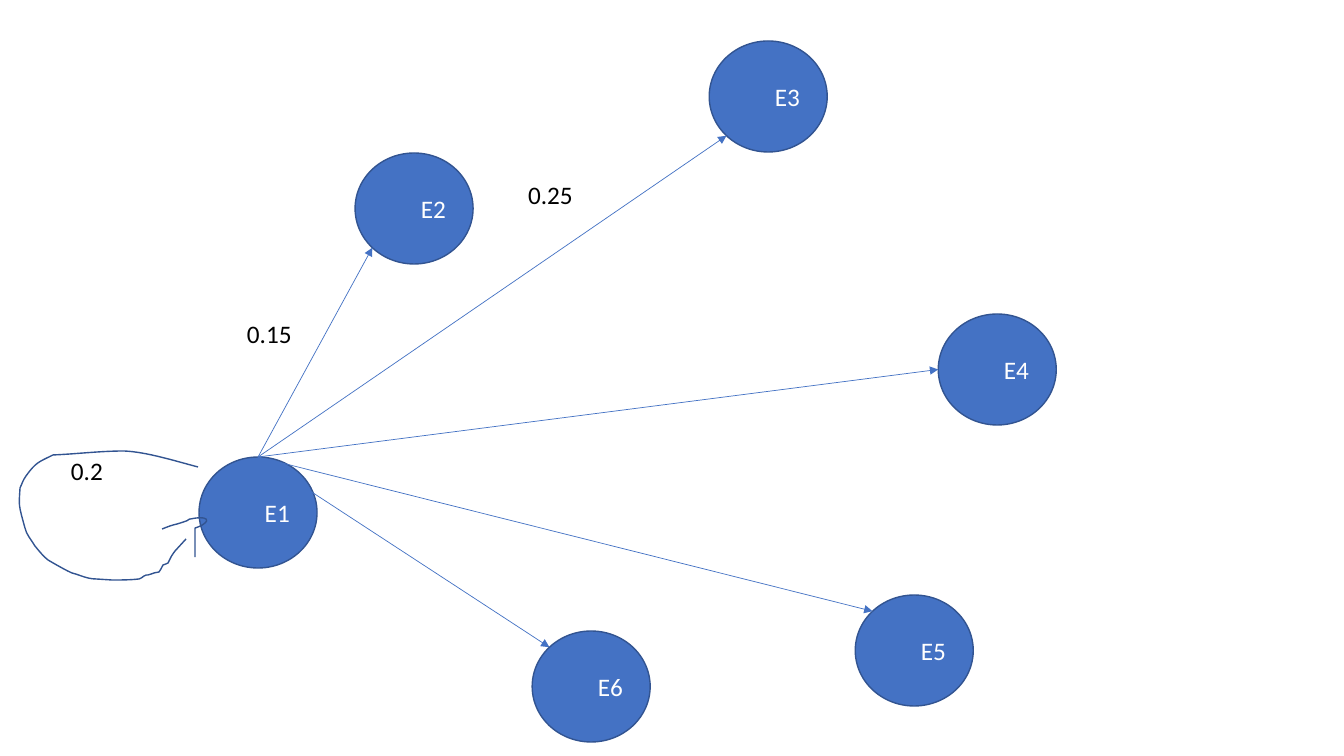
from math import sqrt
from lxml import etree
from pptx import Presentation
from pptx.dml.color import RGBColor
from pptx.enum.shapes import MSO_CONNECTOR, MSO_SHAPE
from pptx.enum.text import MSO_ANCHOR, MSO_AUTO_SIZE, PP_ALIGN
from pptx.oxml.ns import qn
from pptx.util import Inches, Pt

OVAL, LINE = MSO_SHAPE.OVAL, MSO_CONNECTOR.STRAIGHT
MIDDLE, RIGHT, LEFT = MSO_ANCHOR.MIDDLE, PP_ALIGN.RIGHT, PP_ALIGN.LEFT
GROW = MSO_AUTO_SIZE.SHAPE_TO_FIT_TEXT

THEME = {
    "node": RGBColor.from_string("4472C4"),
    "edge": RGBColor.from_string("325491"),
    "light": RGBColor.from_string("FFFFFF"),
    "dark": RGBColor.from_string("000000"),
    "font": "Calibri",
    "size": Pt(18),
    "rim": Pt(1),
    "thin": Pt(0.5),
}

NODE_W, NODE_H = 118, 111
NODES = {
    "E2": (355, 153),
    "E6": (532, 631),
    "E5": (855, 595),
    "E4": (938, 314),
    "E3": (709, 41),
    "E1": (199, 457),
}
HUB = "E1"
DIAG = sqrt(0.5)
SITES = {1: (-DIAG, -DIAG), 2: (-1, 0), 3: (-DIAG, DIAG)}
ARROWS = [("E2", 3), ("E3", 3), ("E4", 2), ("E5", 1), ("E6", 1)]

LABEL_H = 40
LABELS = [
    ("0.15", 237, 313, 101),
    ("0.25", 518, 174, 141),
    ("0.2", 61, 450, 101),
]

LOOP = [
    (198, 467),
    [(175, 461), (147, 452), (124, 451)],
    [(100, 451), (77, 454), (53, 455)],
    [(39, 462), (36, 462), (26, 476)],
    [(23, 480), (22, 484), (20, 488)],
    [(19, 506), (18, 503), (25, 528)],
    [(26, 534), (32, 541), (35, 546)],
    [(39, 551), (44, 557), (48, 560)],
    [(53, 563), (67, 571), (72, 573)],
    [(80, 575), (87, 579), (96, 579)],
    [(112, 580)],
    [(121, 580), (130, 580), (139, 579)],
    [(141, 579), (142, 577), (144, 576)],
    [(145, 575), (147, 575), (148, 575)],
    [(161, 571), (149, 574), (159, 572)],
    [(160, 570), (162, 568), (163, 565)],
    [(165, 564), (167, 564), (168, 563)],
    [(169, 561), (170, 559), (171, 557)],
    [(172, 555), (175, 551), (175, 551)],
    [(186, 539)],
]
HOOK = [
    (162, 529),
    [(167, 527), (172, 525), (177, 524)],
    [(200, 517), (179, 521), (196, 518)],
    [(199, 518), (203, 517), (206, 519)],
    [(208, 520), (206, 522), (205, 523)],
    [(202, 526), (195, 528), (195, 528)],
    [(195, 557)],
]


def px(n):
    return round(n * 914400 / 100.8)


def write(frame, text, color, align):
    para = frame.paragraphs[0]
    para.text = text
    para.alignment = align
    font = para.font
    font.name, font.size = THEME["font"], THEME["size"]
    font.color.rgb = color


def rim(shape):
    shape.shadow.inherit = False
    shape.line.color.rgb = THEME["edge"]
    shape.line.width = THEME["rim"]


def add_node(name, x, y):
    node = shapes.add_shape(OVAL, px(x), px(y), px(NODE_W), px(NODE_H))
    rim(node)
    node.fill.solid()
    node.fill.fore_color.rgb = THEME["node"]
    node.text_frame.vertical_anchor = MIDDLE
    write(node.text_frame, name, THEME["light"], RIGHT)
    return node


def add_arrow(hub, node, site):
    arrow = shapes.add_connector(LINE, 0, 0, 0, 0)
    arrow.begin_connect(hub, 0)
    arrow.end_connect(node, site)
    dx, dy = SITES[site]
    arrow.end_x = round(node.left + node.width * (1 + dx) / 2)
    arrow.end_y = round(node.top + node.height * (1 + dy) / 2)
    arrow.line.color.rgb = THEME["node"]
    arrow.line.width = THEME["thin"]
    etree.SubElement(arrow.line._get_or_add_ln(), qn("a:tailEnd"), type="triangle")
    etree.SubElement(arrow._element.spPr, qn("a:effectLst"))


def add_curve(start, *pieces):
    pen = shapes.build_freeform(*map(px, start))
    pen.add_line_segments([tuple(map(px, piece[-1])) for piece in pieces], close=False)
    curve = pen.convert_to_shape()
    curve.fill.background()
    rim(curve)
    steps = list(curve._element.iter(qn("a:lnTo")))
    for step, piece in zip(steps, pieces):
        if len(piece) == 3:
            step.tag = qn("a:cubicBezTo")
            for spot, (x, y) in enumerate(piece[:2]):
                dot = etree.Element(qn("a:pt"))
                dot.set("x", str(px(x) - curve.left))
                dot.set("y", str(px(y) - curve.top))
                step.insert(spot, dot)


def add_label(text, x, y, width):
    box = shapes.add_textbox(px(x), px(y), px(width), px(LABEL_H))
    box.text_frame.word_wrap = True
    box.text_frame.auto_size = GROW
    write(box.text_frame, text, THEME["dark"], LEFT)


deck = Presentation()
deck.slide_width, deck.slide_height = Inches(13.33), Inches(7.5)
shapes = deck.slides.add_slide(deck.slide_layouts[6]).shapes

nodes = {name: add_node(name, *spot) for name, spot in NODES.items()}
for name, site in ARROWS:
    add_arrow(nodes[HUB], nodes[name], site)
for curve in (LOOP, HOOK):
    add_curve(*curve)
for label in LABELS:
    add_label(*label)

deck.save("out.pptx")
